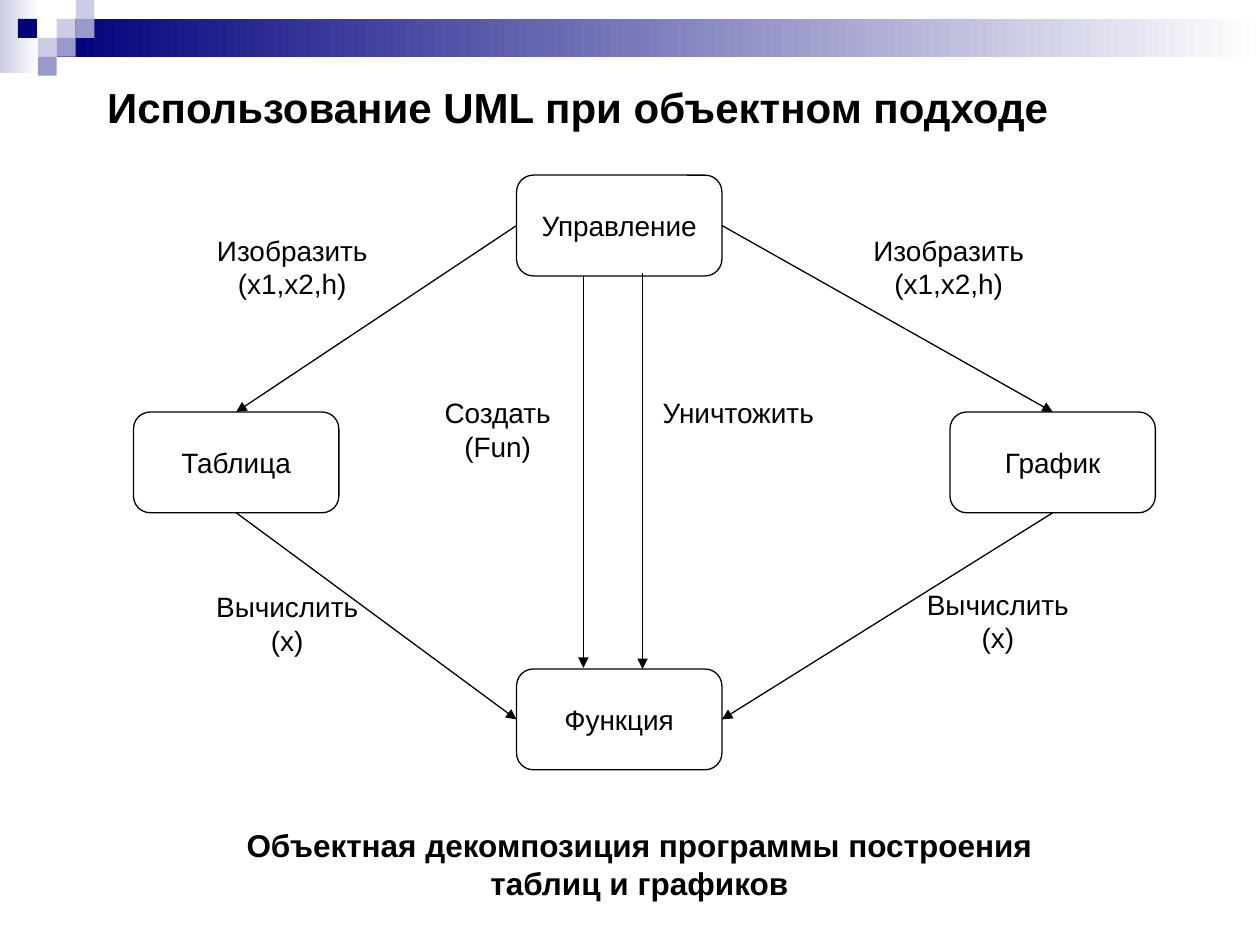
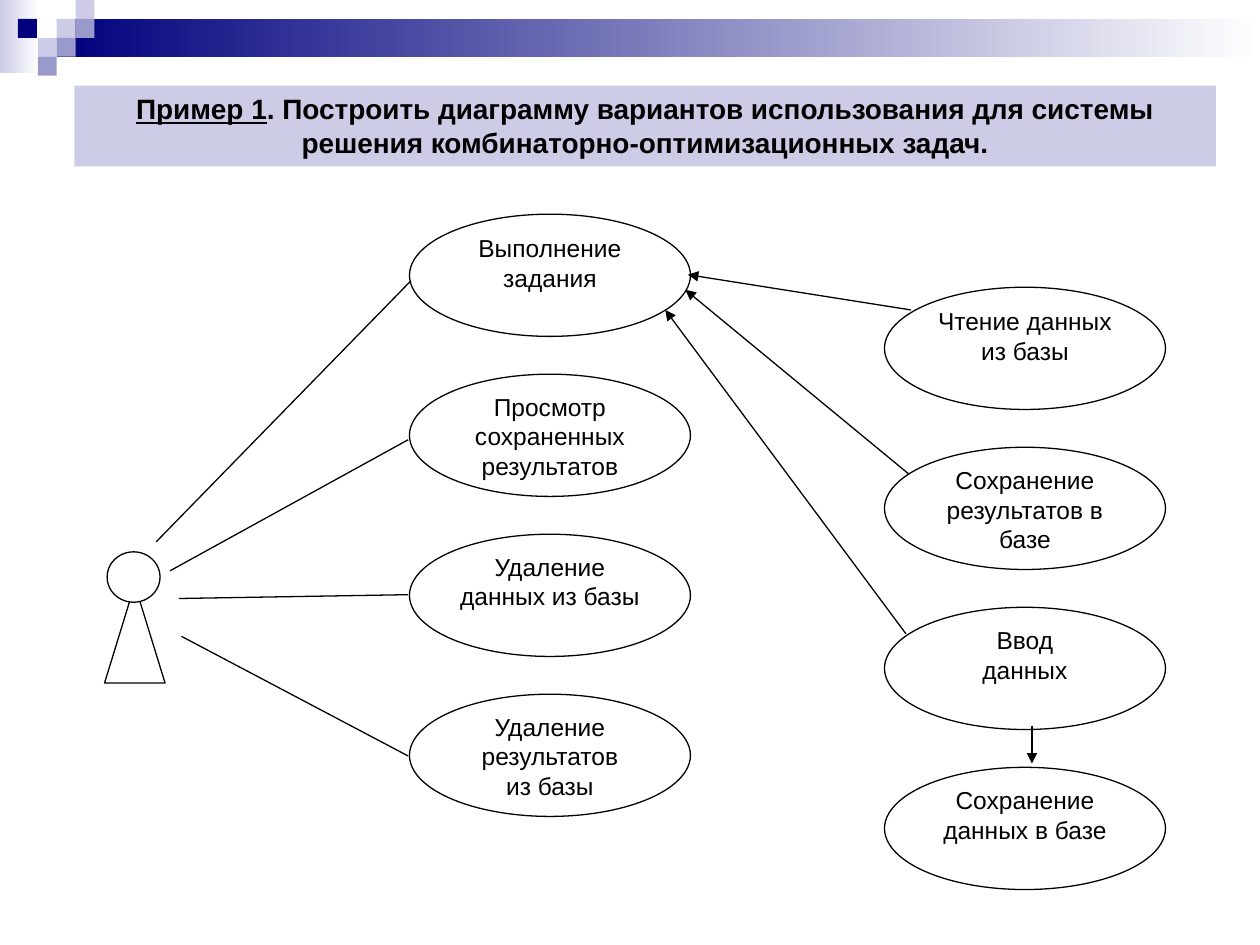
from lxml import etree
from pptx import Presentation
from pptx.dml.color import RGBColor
from pptx.enum.shapes import MSO_CONNECTOR, MSO_SHAPE
from pptx.enum.text import MSO_ANCHOR, MSO_AUTO_SIZE, PP_ALIGN
from pptx.oxml.ns import qn
from pptx.util import Inches, Pt

RECT = MSO_SHAPE.RECTANGLE
OVAL = MSO_SHAPE.OVAL
CONE = MSO_SHAPE.ISOSCELES_TRIANGLE
NODE = MSO_SHAPE.FLOWCHART_ALTERNATE_PROCESS
LINE = MSO_CONNECTOR.STRAIGHT
TOP, MIDDLE = MSO_ANCHOR.TOP, MSO_ANCHOR.MIDDLE
LEFT, CENTER = PP_ALIGN.LEFT, PP_ALIGN.CENTER

FONT = "Arial"
HEX = {"ink": "000000", "paper": "FFFFFF", "navy": "00007D",
       "mid": "9999CC", "pale": "CCCCE6"}
RGB = {name: RGBColor.from_string(code) for name, code in HEX.items()}


def draw(slide, kind, box, fill="paper", edge=True):
    shape = slide.shapes.add_shape(kind, *map(Inches, box))
    shape.shadow.inherit = False
    shape.fill.solid()
    shape.fill.fore_color.rgb = RGB[fill]
    if edge:
        shape.line.color.rgb = RGB["ink"]
        shape.line.width = Pt(0.75)
    else:
        shape.line.fill.background()
    return shape


def write(shape, text, size, bold=False, align=CENTER, anchor=TOP, pad=(0, 0)):
    """Fill a shape with text: a newline splits paragraphs, a bar splits runs."""
    frame = shape.text_frame
    frame.word_wrap = True
    frame.auto_size = MSO_AUTO_SIZE.NONE
    frame.vertical_anchor = anchor
    frame.margin_left = frame.margin_right = Inches(pad[0])
    frame.margin_top = frame.margin_bottom = Inches(pad[1])
    for i, part in enumerate(text.split("\n")):
        para = frame.add_paragraph() if i else frame.paragraphs[0]
        para.alignment = align
        for piece in part.split("|"):
            run = para.add_run()
            run.text = piece
            run.font.name = FONT
            run.font.size = Pt(size)
            run.font.bold = bold
            run.font.color.rgb = RGB["ink"]


deck = Presentation()
deck.slide_width, deck.slide_height = Inches(10), Inches(7.5)
layout = deck.slide_layouts.get_by_name("Title Only")
uml = deck.slides.add_slide(layout)
case = deck.slides.add_slide(layout)

# Shared header: drawn once, then moved to the master
header = [
    ((0, 0, 0.31, 0.58), "pale", True),
    ((0.45, 0.15, 9.55, 0.3), "navy", True),
]
tile = 0.15
for col, row, tone in [(3, 1, "pale"), (4, 0, "pale"), (4, 1, "mid"),
                       (2, 2, "pale"), (0.95, 1, "navy"), (3, 2, "mid"),
                       (2, 3, "mid")]:
    header.append(((col * tile, row * tile, tile, tile), tone, False))
for i, (box, tone, fade) in enumerate(header):
    part = draw(uml, RECT, box, tone, edge=False)
    if fade:
        part.fill.gradient()
        part.fill.gradient_angle = 0
        for stop, name in zip(part.fill.gradient_stops, (tone, "paper")):
            stop.color.rgb = RGB[name]
    part.element.nvSpPr.cNvPr.set("id", str(100 + i))
    deck.slide_master.shapes.element.append(part.element)

# Titles
for slide, box, text, size, align in [
    (uml, (0.75, 0.6, 8.58, 0.5),
     "Использование UML при объектном подходе", 24, LEFT),
    (case, (0.59, 0.68, 9.06, 0.64),
     "Пример 1|. Построить диаграмму вариантов использования для системы "
     "решения комбинаторно-оптимизационных задач.", 16, CENTER),
]:
    title = slide.shapes.title
    title.left, title.top, title.width, title.height = map(Inches, box)
    write(title, text, size, True, align, pad=(0.1, 0.05))
title.fill.solid()
title.fill.fore_color.rgb = RGB["pale"]
title.text_frame.paragraphs[0].runs[0].font.underline = True

# Slide 1: object diagram
nodes = {}
for name, x, y in [("Управление", 4.1, 1.39), ("Функция", 4.1, 5.31),
                   ("Таблица", 1.06, 3.27), ("График", 7.54, 3.27)]:
    nodes[name] = draw(uml, NODE, (x, y, 1.63, 0.8))
    write(nodes[name], name, 16, anchor=MIDDLE, pad=(0.02, 0))

for text, x, y in [
    ("Изобразить\n(x1,x2,h)", 1.47, 1.85),
    ("Изобразить\n(x1,x2,h)", 6.68, 1.85),
    ("Вычислить\n(x)", 1.43, 4.68),
    ("Вычислить\n(x)", 7.07, 4.66),
    ("Создать\n(Fun)", 3.1, 3.14),
    ("Уничтожить", 5.01, 3.14),
]:
    label = uml.shapes.add_textbox(*map(Inches, (x, y, 1.7, 0.56)))
    write(label, text, 16)

note = uml.shapes.add_textbox(*map(Inches, (1.69, 6.51, 6.77, 0.7)))
write(note, "Объектная декомпозиция программы построения таблиц и графиков",
      18, True, pad=(0.1, 0.05))

# Slide 2: actor and use cases
draw(case, CONE, (0.83, 4.64, 0.48, 0.78))
draw(case, OVAL, (0.85, 4.38, 0.42, 0.4))
step = 1.27
for x, y, names in [
    (3.25, 1.7, ["Выполнение\nзадания", "Просмотр\nсохраненных\nрезультатов",
                 "Удаление\nданных из базы", "Удаление\nрезультатов\nиз базы"]),
    (7.02, 2.28, ["Чтение данных из базы", "Сохранение\nрезультатов в базе",
                  "Ввод\nданных", "Сохранение данных в базе"]),
]:
    for i, name in enumerate(names):
        oval = draw(case, OVAL, (x, y + i * step, 2.23, 0.97))
        write(oval, name, 14, pad=(0, 0 if i else 0.01))

# Lines of both slides: slide, start, end, arrow
links = [
    (uml, (4.1, 1.79), (1.88, 3.27), True),
    (uml, (1.88, 4.07), (4.1, 5.71), True),
    (uml, (8.36, 4.07), (5.73, 5.71), True),
    (uml, (5.73, 1.79), (8.36, 3.27), True),
    (uml, (4.63, 2.19), (4.63, 5.3), True),
    (uml, (5.1, 2.17), (5.1, 5.31), True),
    (case, (1.24, 4.3), (3.26, 2.23), False),
    (case, (1.35, 4.53), (3.24, 3.49), False),
    (case, (3.24, 4.72), (1.42, 4.75), False),
    (case, (3.24, 6), (1.44, 5.05), False),
    (case, (8.19, 5.76), (8.19, 6.06), True),
    (case, (7.19, 5.03), (5.28, 2.46), True),
    (case, (7.21, 3.76), (5.44, 2.3), True),
    (case, (7.23, 2.46), (5.46, 2.18), True),
]
wires = []
for slide, start, end, arrow in links:
    wire = slide.shapes.add_connector(LINE, *map(Inches, start + end))
    wire.line.color.rgb = RGB["ink"]
    wire.line.width = Pt(0.75)
    if arrow:
        etree.SubElement(wire.line._get_or_add_ln(), qn("a:tailEnd"),
                         type="triangle")
    etree.SubElement(wire.element.spPr, qn("a:effectLst"))
    wires.append(wire)

joints = [("Управление", 1, "Таблица", 0), ("Таблица", 2, "Функция", 1),
          ("График", 2, "Функция", 3), ("Управление", 3, "График", 0)]
for wire, (first, out, last, into) in zip(wires, joints):
    wire.begin_connect(nodes[first], out)
    wire.end_connect(nodes[last], into)

deck.save("out.pptx")
